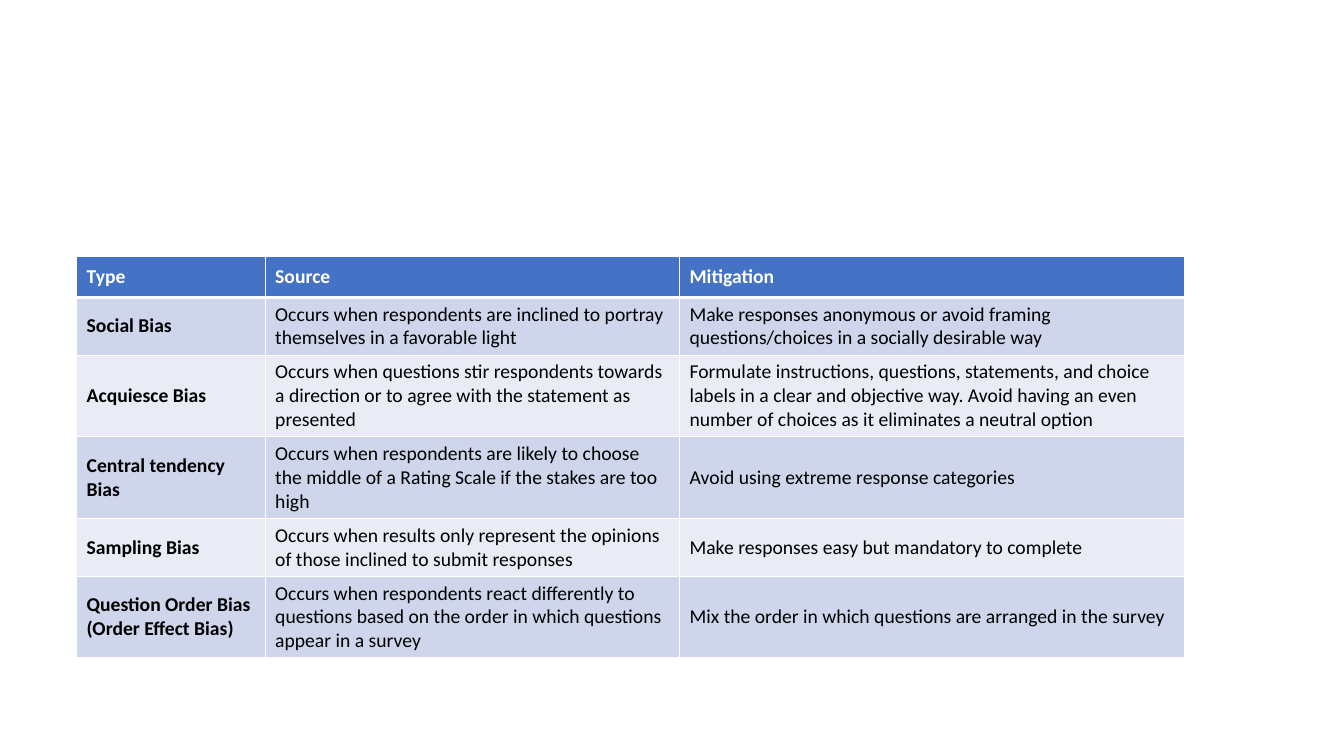
from lxml.etree import SubElement as Sub
from pptx import Presentation
from pptx.dml.color import RGBColor as RGB
from pptx.enum.text import MSO_ANCHOR as Anchor
from pptx.oxml.ns import qn
from pptx.util import Inches, Pt

HEAD = ("Type", "Source", "Mitigation")
BIASES = [
    ("Social Bias",
     "Occurs when respondents are inclined to portray themselves in a favorable light",
     "Make responses anonymous or avoid framing questions/choices in a socially desirable way"),
    ("Acquiesce Bias",
     "Occurs when questions stir respondents towards a direction or to agree with the statement as presented",
     "Formulate instructions, questions, statements, and choice labels in a clear and objective way. "
     "Avoid having an even number of choices as it eliminates a neutral option"),
    ("Central tendency Bias",
     "Occurs when respondents are likely to choose the middle of a Rating Scale if the stakes are too high",
     "Avoid using extreme response categories"),
    ("Sampling Bias",
     "Occurs when results only represent the opinions of those inclined to submit responses",
     "Make responses easy but mandatory to complete"),
    ("Question Order Bias (Order Effect Bias)",
     "Occurs when respondents react differently to questions based on the order in which questions appear in a survey",
     "Mix the order in which questions are arranged in the survey"),
]
WIDTHS = (1.87, 4.11, 5.01)
HEIGHTS = (0.41, 0.57, 0.81, 0.81, 0.57, 0.81)
LEFT, TOP = 0.76, 2.54

WHITE = RGB(0xFF, 0xFF, 0xFF)
BLACK = RGB(0, 0, 0)
BLUE = RGB(0x44, 0x72, 0xC4)
BANDS = (RGB(0xE9, 0xEB, 0xF5), RGB(0xCF, 0xD5, 0xEA))


def edge(cell, side, width):
    line = Sub(cell._tc.get_or_add_tcPr(), qn(f"a:ln{side}"), w=str(Pt(width)))
    fill = Sub(line, qn("a:solidFill"))
    Sub(fill, qn("a:srgbClr"), val=str(WHITE))


def style(cell, text, row, col):
    head = row == 0
    for side in "LRTB":
        thick = (row, side) in ((0, "B"), (1, "T"))
        edge(cell, side, 3 if thick else 1)
    cell.fill.solid()
    cell.fill.fore_color.rgb = BLUE if head else BANDS[row % 2]
    cell.vertical_anchor = Anchor.MIDDLE
    cell.text = text
    font = cell.text_frame.paragraphs[0].runs[0].font
    looks = {"name": "Calibri", "size": Pt(14), "bold": head or col == 0}
    for key, value in looks.items():
        setattr(font, key, value)
    font.color.rgb = WHITE if head else BLACK


def main():
    deck = Presentation()
    deck.slide_width, deck.slide_height = Inches(13.33), Inches(7.5)
    slide = deck.slides.add_slide(deck.slide_layouts[6])
    rows = [HEAD] + BIASES
    box = [Inches(n) for n in (LEFT, TOP, sum(WIDTHS), sum(HEIGHTS))]
    table = slide.shapes.add_table(len(rows), len(HEAD), *box).table
    for col, width in zip(table.columns, WIDTHS):
        col.width = Inches(width)
    for row, height in zip(table.rows, HEIGHTS):
        row.height = Inches(height)
    for r, texts in enumerate(rows):
        for c, text in enumerate(texts):
            style(table.cell(r, c), text, r, c)
    deck.save("out.pptx")


if __name__ == "__main__":
    main()
